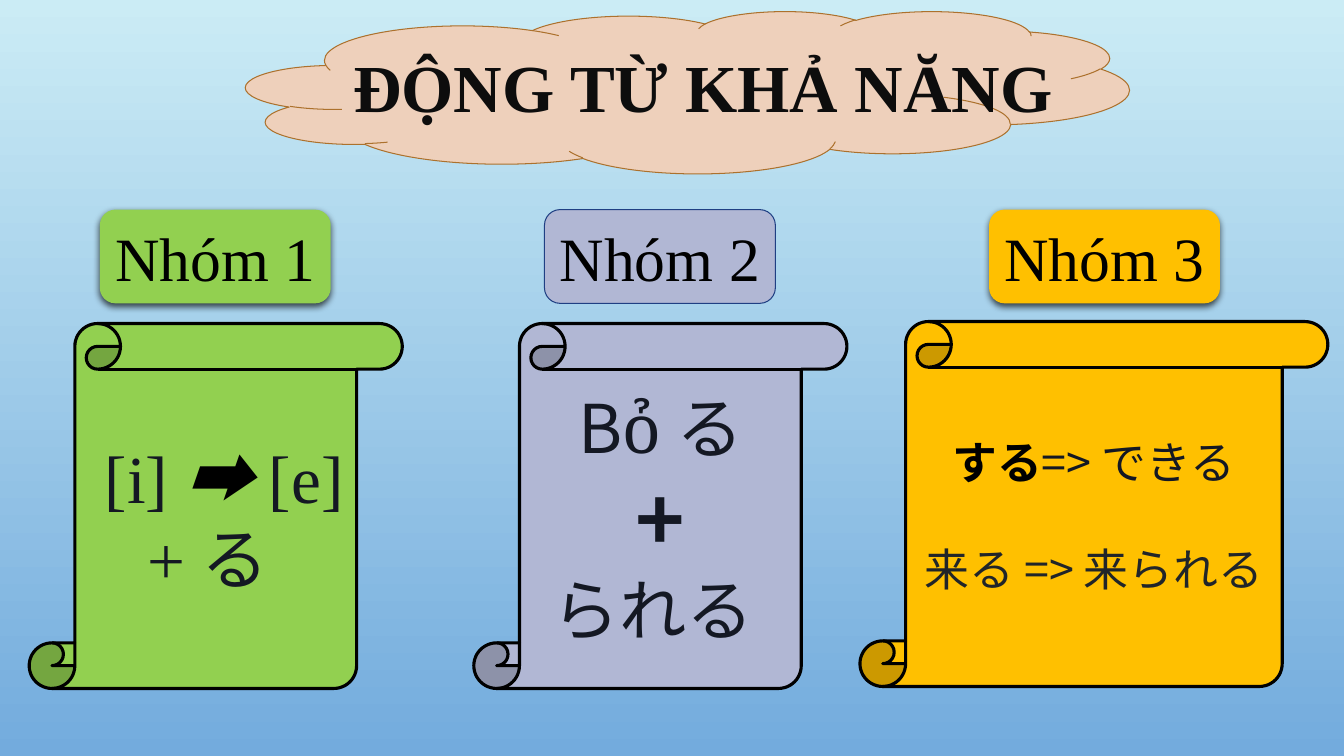
from lxml import etree
from pptx import Presentation
from pptx.dml.color import RGBColor
from pptx.enum import shapes, text
from pptx.oxml.ns import qn
from pptx.util import Inches, Pt

SKY_TOP, SKY_BOTTOM = RGBColor(0xCB, 0xEC, 0xF5), RGBColor(0x73, 0xAB, 0xDD)
PEACH, BROWN = RGBColor(0xEE, 0xD0, 0xBB), RGBColor(0xAC, 0x71, 0x2D)
GREEN, LILAC, AMBER = RGBColor(0x92, 0xD0, 0x50), RGBColor(0xB1, 0xB7, 0xD4), RGBColor(0xFF, 0xC0, 0)
NAVY, BLACK = RGBColor(0x1F, 0x3F, 0x83), RGBColor(0, 0, 0)
TITLE_INK, INK, GREY_INK = RGBColor(0x0D, 0x0D, 0x0D), RGBColor(0x14, 0x18, 0x23), RGBColor(0x21, 0x25, 0x29)
SERIF, JAPANESE, VIETNAMESE = "Times New Roman", "Noto Sans CJK JP", "Cambria"

TITLE = "ĐỘNG TỪ KHẢ NĂNG"
# Each rule line: size, space before, runs of (text, font, colour, bold, italic)
GROUPS = [
    {"name": "Nhóm 1", "fill": GREEN, "outline": None, "scroll": (0.29, 3.21, 3.7, 3.62),
     "rule": [(48, 0, [(" [i] ", SERIF, INK, False, False),
                       ("➡", JAPANESE, BLACK, False, True),
                       (" [e] + ", SERIF, INK, False, False),
                       ("る ", JAPANESE, INK, False, False)])]},
    {"name": "Nhóm 2", "fill": LILAC, "outline": NAVY, "scroll": (4.7, 3.21, 3.7, 3.62),
     "rule": [(48, 0, [(" ", SERIF, INK, False, False),
                       ("B", JAPANESE, INK, False, False),
                       ("ỏ ", VIETNAMESE, INK, False, False),
                       ("る ", JAPANESE, INK, False, False)]),
              (60, 0, [("+", JAPANESE, INK, True, False)]),
              (48, 0, [("られる ", JAPANESE, INK, False, False)])]},
    {"name": "Nhóm 3", "fill": AMBER, "outline": None, "scroll": (8.53, 3.19, 4.64, 3.62),
     "rule": [(32, 0, [("する", SERIF, BLACK, True, False),
                       ("=> できる", JAPANESE, INK, False, False)]),
              (32, 38, [("来る => 来られる", JAPANESE, GREY_INK, False, False)])]},
]
BADGE_LEFT, BADGE_TOP, BADGE_STEP = 0.99, 2.08, 4.41
BADGE_SIZE = (2.29, 0.93)


def add_panel(slide, preset, box, fill, outline, weight):
    panel = slide.shapes.add_shape(preset, *map(Inches, box))
    panel.shadow.inherit = False
    panel.fill.solid()
    panel.fill.fore_color.rgb = fill
    if outline is None:
        panel.line.fill.background()
    else:
        panel.line.color.rgb = outline
        panel.line.width = Pt(weight)
    panel.text_frame.word_wrap = True
    panel.text_frame.vertical_anchor = text.MSO_ANCHOR.MIDDLE
    return panel


def add_drop_shadow(panel):
    effects = panel.element.spPr.find(qn("a:effectLst"))
    shadow = etree.SubElement(effects, qn("a:outerShdw"), blurRad=str(Pt(5)), dist=str(Pt(2)),
                              dir="5400000", algn="ctr", rotWithShape="0")
    colour = etree.SubElement(shadow, qn("a:srgbClr"), val=str(BLACK))
    etree.SubElement(colour, qn("a:alpha"), val="69000")


def write_line(paragraph, size, gap, runs):
    paragraph.alignment = text.PP_ALIGN.CENTER
    paragraph.space_before = Pt(gap)
    paragraph.font.size = Pt(size)
    for words, face, colour, bold, italic in runs:
        run = paragraph.add_run()
        run.text = words
        run.font.name = face
        run.font.color.rgb = colour
        run.font.bold = bold
        run.font.italic = italic
        east_asian = JAPANESE if face == SERIF else face
        etree.SubElement(run._r.get_or_add_rPr(), qn("a:ea"), typeface=east_asian)


def add_title(slide):
    cloud = add_panel(slide, shapes.MSO_SHAPE.CLOUD, (2.44, 0.11, 8.76, 1.61), PEACH, BROWN, 0.75)
    title = slide.shapes.title
    title.element.addprevious(cloud.element)
    title.left, title.top, title.width, title.height = map(Inches, (3.37, 0.4, 7.21, 0.91))
    frame = title.text_frame
    frame.word_wrap = False
    frame.auto_size = text.MSO_AUTO_SIZE.NONE
    frame.vertical_anchor = text.MSO_ANCHOR.TOP
    write_line(frame.paragraphs[0], 48, 0, [(TITLE, SERIF, TITLE_INK, True, False)])


def add_group(slide, index, group):
    badge_box = (BADGE_LEFT + index * BADGE_STEP, BADGE_TOP, *BADGE_SIZE)
    badge = add_panel(slide, shapes.MSO_SHAPE.ROUNDED_RECTANGLE, badge_box,
                      group["fill"], group["outline"], 0.75)
    if group["outline"] is None:
        add_drop_shadow(badge)
    write_line(badge.text_frame.paragraphs[0], 44, 0, [(group["name"], SERIF, BLACK, False, False)])

    scroll = add_panel(slide, shapes.MSO_SHAPE.VERTICAL_SCROLL, group["scroll"],
                       group["fill"], BLACK, 2.25)
    frame = scroll.text_frame
    for number, line in enumerate(group["rule"]):
        write_line(frame.add_paragraph() if number else frame.paragraphs[0], *line)


def main():
    deck = Presentation()
    deck.slide_width, deck.slide_height = Inches(13.33), Inches(7.5)
    slide = deck.slides.add_slide(deck.slide_layouts[5])
    sky = slide.background.fill
    sky.gradient()
    sky.gradient_angle = 270
    for stop, colour in zip(sky.gradient_stops, (SKY_TOP, SKY_BOTTOM)):
        stop.color.rgb = colour
    add_title(slide)
    for index, group in enumerate(GROUPS):
        add_group(slide, index, group)
    deck.save("out.pptx")


if __name__ == "__main__":
    main()
